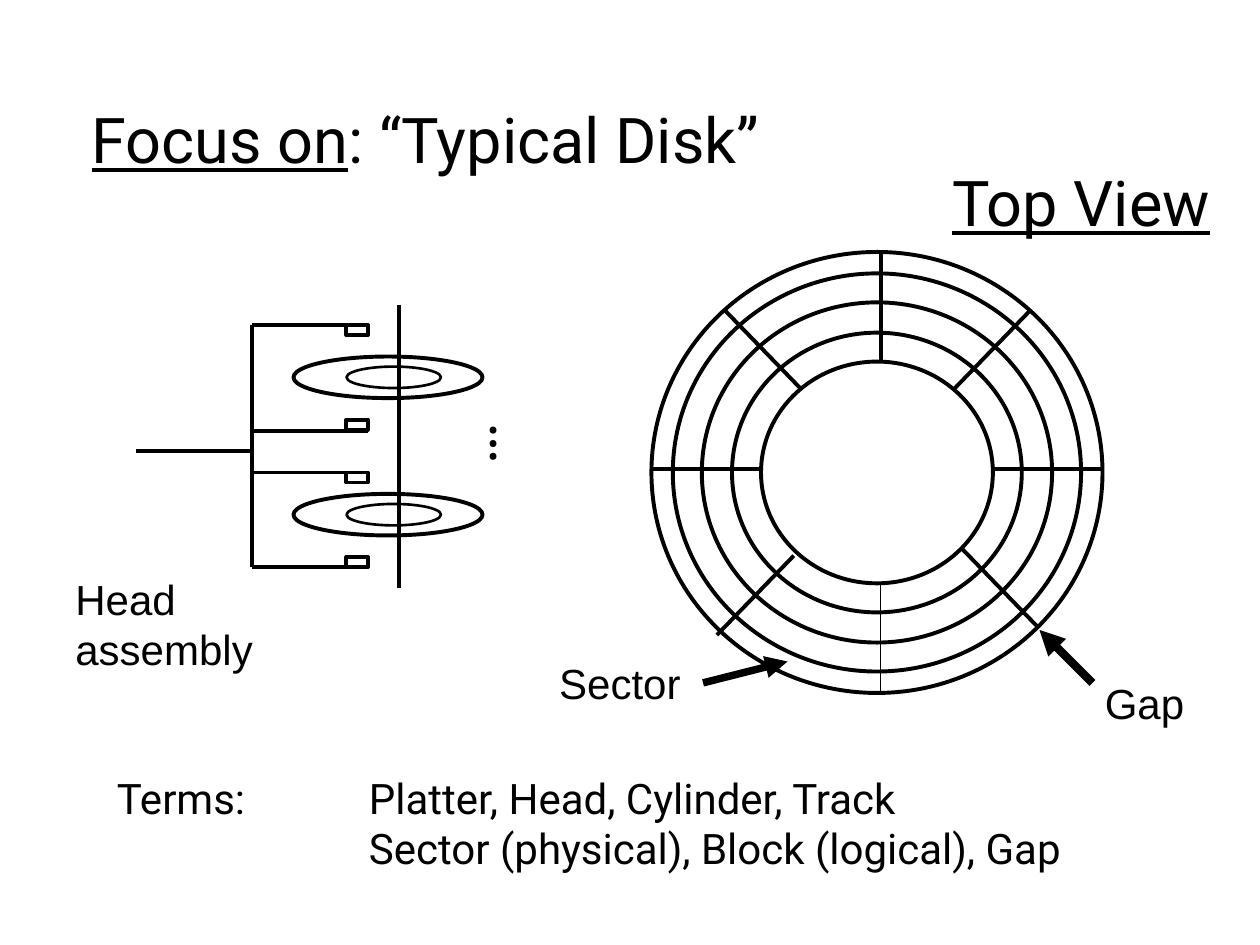
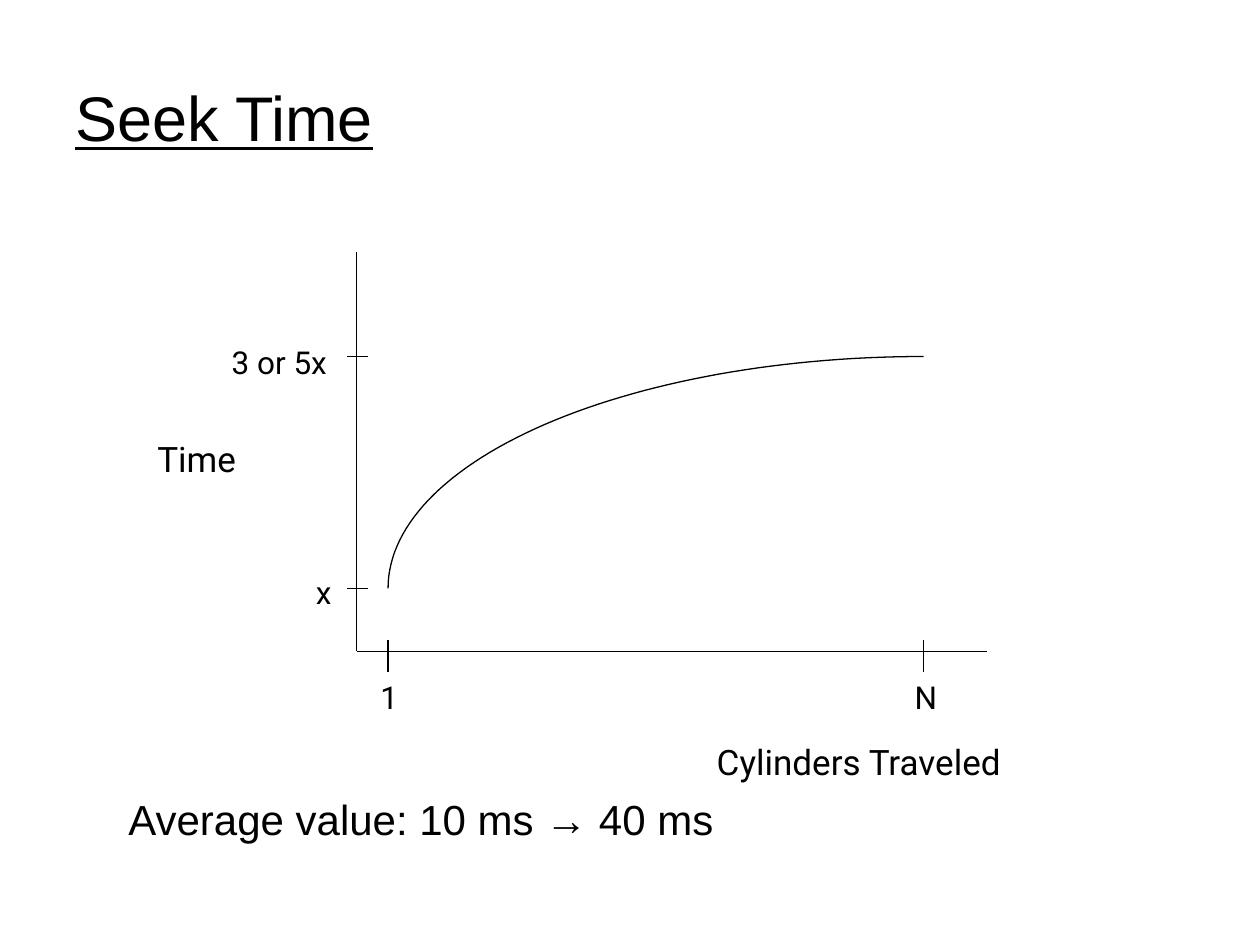
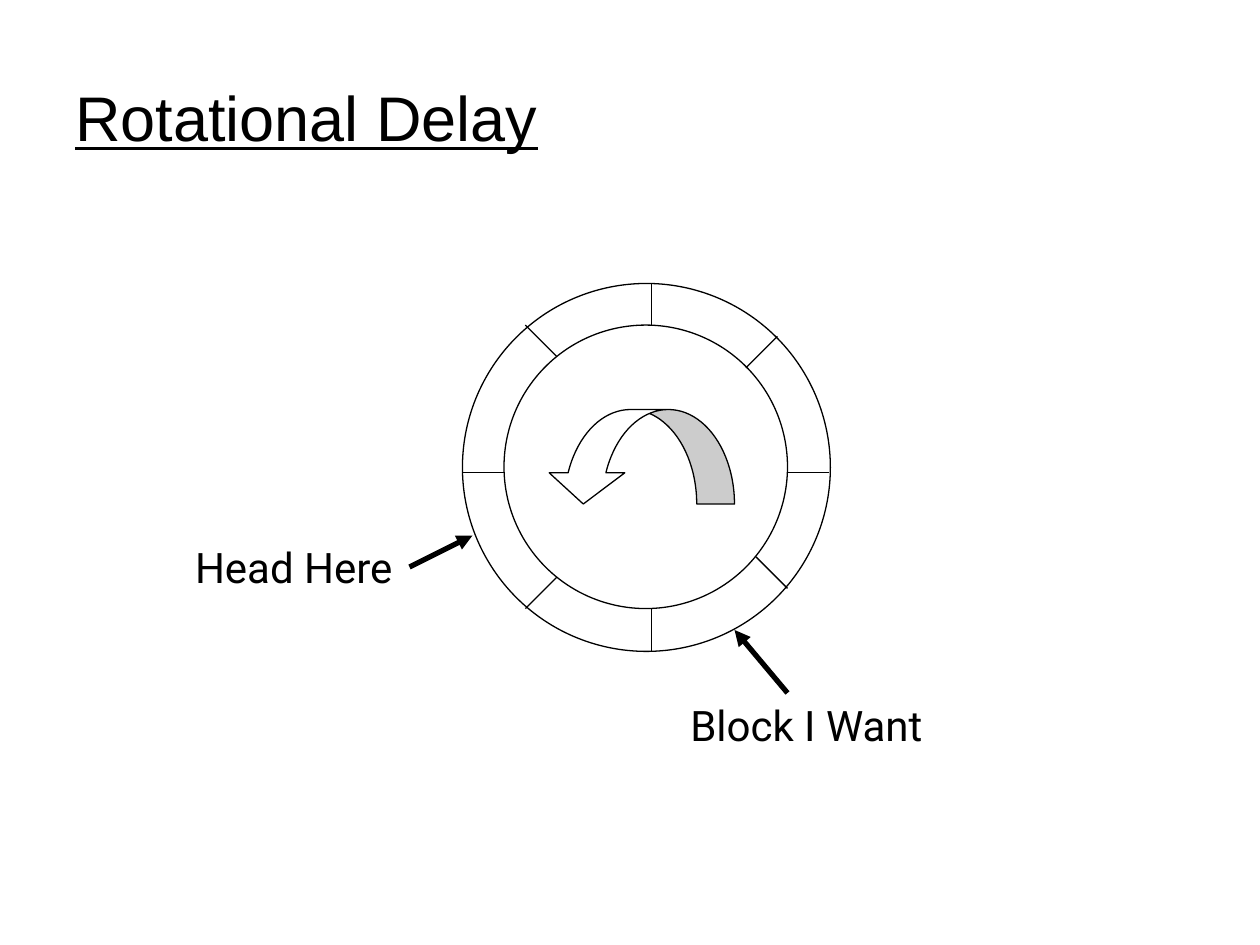
from math import cos, pi, sin

from lxml import etree
from pptx import Presentation
from pptx.dml.color import RGBColor
from pptx.enum.shapes import MSO_CONNECTOR, MSO_SHAPE
from pptx.enum.text import MSO_ANCHOR, MSO_AUTO_SIZE
from pptx.oxml.ns import qn
from pptx.util import Inches, Pt

STRAIGHT = MSO_CONNECTOR.STRAIGHT
OVAL, RECTANGLE = MSO_SHAPE.OVAL, MSO_SHAPE.RECTANGLE
CURVED_ARROW = MSO_SHAPE.CURVED_DOWN_ARROW
MIDDLE, FIT_SHAPE = MSO_ANCHOR.MIDDLE, MSO_AUTO_SIZE.SHAPE_TO_FIT_TEXT

INK, PAPER = "000000", "FFFFFF"
SANS, BODY = "Arial", "Roboto"
HEADING, LABEL, AXIS, TICK = 36, 24, 20, 18
THIN, MEDIUM, THICK = 0.75, 1.5, 2.25
TITLE_BOX = (0.5, 0.3, 9, 1.25)

# ---- Typical disk: text (box, runs, font, size); a run is (text, underlined)
DISK_LABELS = [
    ((0.63, 0.75, 5.78, 0.7), [("Focus on", True), (": “Typical Disk”", False)], BODY, HEADING),
    ((7.46, 1.25, 2.32, 0.7), [("Top View", True)], BODY, HEADING),
    ((0.5, 4.5, 2.49, 0.5), [("Head assembly", False)], SANS, LABEL),
    ((4.34, 5.17, 1.16, 0.5), [("Sector", False)], SANS, LABEL),
    ((8.67, 5.33, 0.83, 0.5), [("Gap", False)], SANS, LABEL),
]
ELLIPSIS_BOX = (3.8, 3.2, 0.59, 0.7)
TERMS_BOX = (0.83, 6.08, 8.02, 1.3)
TERMS = ["Terms: \tPlatter, Head, Cylinder, Track",
         "\t\tSector (physical), Block (logical), Gap"]
TERMS_TABS = (1, 2)

# Side view: arm heights with the top of the head each one carries
ARM_LEFT, ARM_RIGHT, HEAD_WIDTH, HEAD_HEIGHT = 2, 2.92, 0.17, 0.08
ARMS = [(2.58, 2.58), (3.42, 3.33), (3.75, 3.75), (4.5, 4.42)]
PLATTER_TOPS = (2.83, 3.92)
SPINDLE = (3.17, 2.42, 3.17, 4.67)
ASSEMBLY_HANDLE = (1.08, 3.58, 2, 3.58)

# Top view: track rings share a centre
DISK_BOX = (5.17, 2, 3.58, 3.5)
RING_INSETS = (0, 0.17, 0.4, 0.64, 0.87)
DISK_GAPS = [
    (6.99, 2.86, 6.99, 2), (8.75, 3.72, 7.87, 3.72), (6.05, 3.72, 5.17, 3.72),
    (8.18, 2.46, 7.57, 3.09), (6.3, 4.41, 5.69, 5.04),
    (7.63, 4.35, 8.24, 4.98), (5.75, 2.46, 6.36, 3.09),
]
THIN_GAP = (6.99, 5.5, 6.99, 4.64)
DISK_POINTERS = [((5.58, 5.42, 6.25, 5.25), 4.25), ((8.67, 5.42, 8.25, 5), 4.75)]

# ---- Seek time
SEEK_TITLE = "Seek Time"
ORIGIN_X, ORIGIN_Y, AXIS_TOP, AXIS_END = 2.83, 5.17, 2, 7.83
FIRST_X, LAST_X, LOW_Y, HIGH_Y = 3.08, 7.33, 4.67, 2.83
CURVE_STEPS = 60
SEEK_LABELS = [
    ((1.74, 2.67, 1, 0.4), "3 or 5x", BODY, TICK),
    ((2.41, 4.5, 0.33, 0.4), "x", BODY, TICK),
    ((2.92, 5.33, 0.34, 0.4), "1", BODY, TICK),
    ((7.16, 5.33, 0.39, 0.4), "N", BODY, TICK),
    ((5.59, 5.83, 2.6, 0.44), "Cylinders Traveled", BODY, AXIS),
    ((1.15, 3.42, 0.84, 0.44), "Time", BODY, AXIS),
    ((0.92, 6.25, 4.85, 0.5), "Average value: 10 ms → 40 ms", SANS, LABEL),
]

# ---- Rotational delay
DELAY_TITLE = "Rotational Delay"
TRACK_EDGES = [(3.67, 2.25, 2.92, 2.92), (4, 2.58, 2.25, 2.25)]
BLOCK_EDGES = [
    (5.17, 2.25, 5.17, 2.58), (5.17, 4.83, 5.17, 5.17),
    (6.25, 3.75, 6.58, 3.75), (3.67, 3.75, 4, 3.75),
    (5.92, 2.92, 6.17, 2.67), (4.17, 4.83, 4.42, 4.58),
    (6, 4.42, 6.25, 4.67), (4.17, 2.58, 4.42, 2.83),
]
ROTATION_BOX, ROTATION_ADJUST = (4.33, 3.25, 1.5, 0.75), (0.4, 0.8, 0.33)
DELAY_POINTERS = [(3.25, 4.5, 3.75, 4.25), (6.25, 5.5, 5.83, 5)]
DELAY_LABELS = [
    ((1.45, 4.25, 1.87, 0.5), "Head Here", BODY, LABEL),
    ((5.38, 5.5, 2.15, 0.5), "Block I Want", BODY, LABEL),
]


def rgb(color):
    return RGBColor.from_string(color)


def inches(values):
    return [Inches(value) for value in values]


def add_text(slide, box, paragraphs, font, size, wrap=False, tabs=()):
    """Add a text box; each paragraph is a list of (text, underlined) runs."""
    shape = slide.shapes.add_textbox(*inches(box))
    frame = shape.text_frame
    frame.word_wrap = wrap
    frame.auto_size = FIT_SHAPE
    for index, runs in enumerate(paragraphs):
        paragraph = frame.add_paragraph() if index else frame.paragraphs[0]
        if tabs:
            stops = etree.SubElement(paragraph._p.get_or_add_pPr(), qn("a:tabLst"))
            for stop in tabs:
                etree.SubElement(stops, qn("a:tab"), pos=str(Inches(stop)), algn="l")
        for text, underlined in runs:
            run = paragraph.add_run()
            run.text = text
            run.font.name, run.font.size = font, Pt(size)
            run.font.underline = underlined
            run.font.color.rgb = rgb(INK)
    return shape


def add_labels(slide, labels):
    for box, text, font, size in labels:
        add_text(slide, box, [[(text, False)]], font, size)


def add_title(slide, title):
    frame = add_text(slide, TITLE_BOX, [[(title, True)]], SANS, HEADING, wrap=True).text_frame
    frame.auto_size = MSO_AUTO_SIZE.NONE
    frame.vertical_anchor = MIDDLE


def outline(shape, weight):
    shape.line.color.rgb = rgb(INK)
    shape.line.width = Pt(weight)


def add_outlined(slide, kind, box, weight):
    shape = slide.shapes.add_shape(kind, *inches(box))
    shape.shadow.inherit = False
    shape.fill.solid()
    shape.fill.fore_color.rgb = rgb(PAPER)
    outline(shape, weight)
    return shape


def add_line(slide, ends, weight, arrow=False):
    line = slide.shapes.add_connector(STRAIGHT, *inches(ends))
    outline(line, weight)
    if arrow:
        etree.SubElement(line.line._get_or_add_ln(), qn("a:tailEnd"), type="triangle")
    etree.SubElement(line._element.spPr, qn("a:effectLst"))


def build_disk(slide):
    # Side view
    add_line(slide, ASSEMBLY_HANDLE, THICK)
    add_line(slide, (ARM_LEFT, ARMS[0][0], ARM_LEFT, ARMS[-1][0]), THICK)
    for arm_y, _ in ARMS:
        add_line(slide, (ARM_LEFT, arm_y, ARM_RIGHT, arm_y), THICK)
    for top in PLATTER_TOPS:
        add_outlined(slide, OVAL, (2.33, top, 1.5, 0.33), THICK)
        add_outlined(slide, OVAL, (2.75, top + 0.08, 0.75, 0.17), MEDIUM)
    add_line(slide, SPINDLE, THICK)
    for _, head_top in ARMS:
        head = (ARM_RIGHT - HEAD_WIDTH, head_top, HEAD_WIDTH, HEAD_HEIGHT)
        add_outlined(slide, RECTANGLE, head, THICK)
    add_text(slide, ELLIPSIS_BOX, [[("…", False)]], BODY, HEADING).rotation = 90

    # Top view
    left, top, width, height = DISK_BOX
    for inset in RING_INSETS:
        ring = (left + inset, top + inset, width - 2 * inset, height - 2 * inset)
        add_outlined(slide, OVAL, ring, THICK)
    add_line(slide, THIN_GAP, THIN)
    for gap in DISK_GAPS:
        add_line(slide, gap, THICK)
    for pointer, weight in DISK_POINTERS:
        add_line(slide, pointer, weight, arrow=True)

    # Labels and terms
    for box, runs, font, size in DISK_LABELS:
        add_text(slide, box, [runs], font, size)
    add_text(slide, TERMS_BOX, [[(term, False)] for term in TERMS], BODY, LABEL,
             wrap=True, tabs=TERMS_TABS)


def build_seek_time(slide):
    add_title(slide, SEEK_TITLE)
    # Axes and ticks
    add_line(slide, (ORIGIN_X, AXIS_TOP, ORIGIN_X, ORIGIN_Y), THIN)
    add_line(slide, (ORIGIN_X, ORIGIN_Y, AXIS_END, ORIGIN_Y), THIN)
    for x in (FIRST_X, LAST_X):
        add_line(slide, (x, 5.08, x, 5.33), THIN)
    for y in (LOW_Y, HIGH_Y):
        add_line(slide, (2.92, y, 2.75, y), THIN)

    # Seek curve: a quarter of an ellipse
    angles = [pi / 2 * step / CURVE_STEPS for step in range(CURVE_STEPS + 1)]
    points = [inches((LAST_X - (LAST_X - FIRST_X) * cos(angle),
                      LOW_Y - (LOW_Y - HIGH_Y) * sin(angle))) for angle in angles]
    builder = slide.shapes.build_freeform(*points[0])
    builder.add_line_segments(points[1:], close=False)
    curve = builder.convert_to_shape()
    curve.shadow.inherit = False
    curve.fill.background()
    outline(curve, THIN)
    add_labels(slide, SEEK_LABELS)


def build_rotational_delay(slide):
    add_title(slide, DELAY_TITLE)
    # Track and its blocks
    for edge in TRACK_EDGES:
        add_outlined(slide, OVAL, edge, THIN)
    for edge in BLOCK_EDGES:
        add_line(slide, edge, THIN)

    # Direction of rotation, mirrored to run anticlockwise
    rotation = add_outlined(slide, CURVED_ARROW, ROTATION_BOX, THIN)
    for index, value in enumerate(ROTATION_ADJUST):
        rotation.adjustments[index] = value
    rotation._element.spPr.find(qn("a:xfrm")).set("flipH", "1")

    for pointer in DELAY_POINTERS:
        add_line(slide, pointer, 3, arrow=True)
    add_labels(slide, DELAY_LABELS)


def main():
    deck = Presentation()
    deck.slide_width, deck.slide_height = Inches(10), Inches(7.5)
    for build in (build_disk, build_seek_time, build_rotational_delay):
        build(deck.slides.add_slide(deck.slide_layouts[6]))
    deck.save("out.pptx")


if __name__ == "__main__":
    main()
